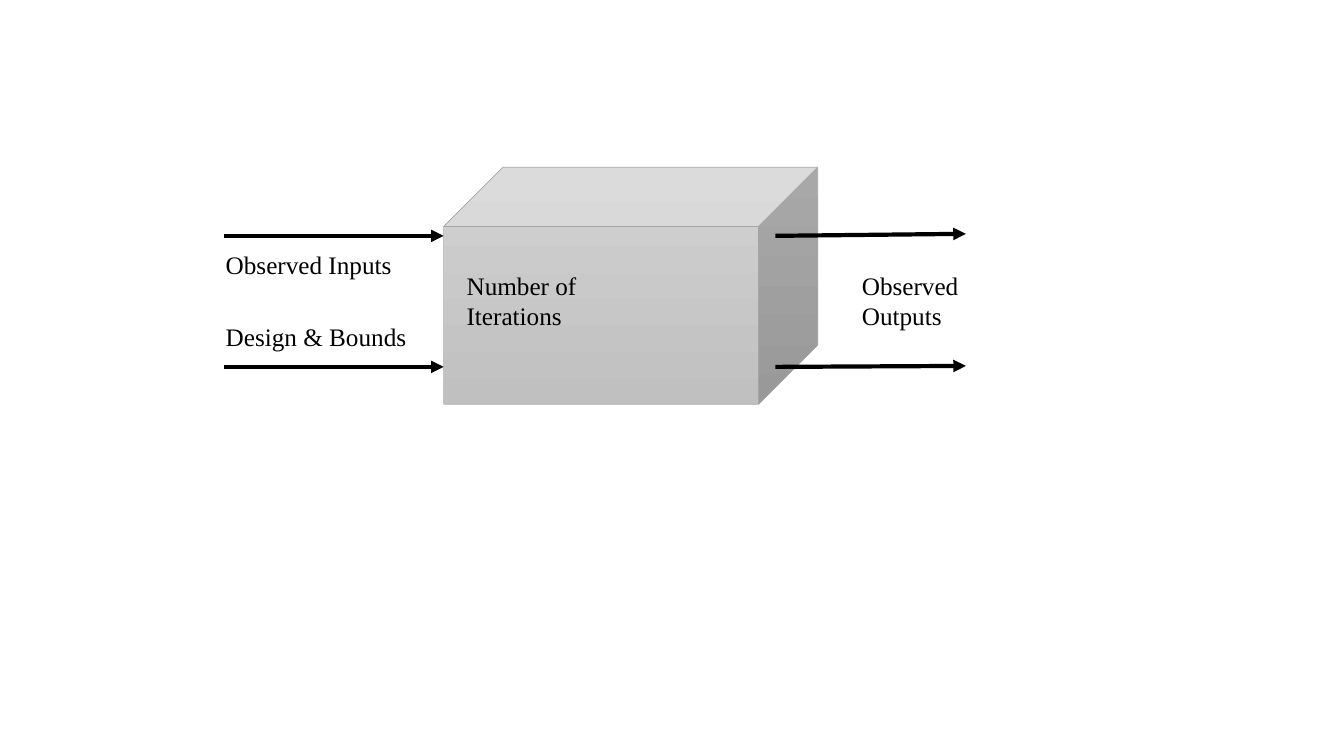
from lxml.etree import SubElement
from pptx import Presentation
from pptx.dml.color import RGBColor
from pptx.enum.shapes import MSO_CONNECTOR, MSO_SHAPE
from pptx.enum.text import MSO_AUTO_SIZE
from pptx.oxml.ns import qn
from pptx.util import Inches, Pt

COLORS = {
    "ink": "000000",
    "cube_top": "D2D2D2",
    "cube_bottom": "C0C0C0",
    "cube_edge": "A5A5A5",
}


class Diagram:
    """Draws on one slide; lengths are grid cells of a tenth of an inch."""

    cell = 0.1
    font_name = "Times New Roman"
    font_size = Pt(18)

    def __init__(self, slide):
        self.shapes = slide.shapes

    def grid(self, *cells):
        return [Inches(count * self.cell) for count in cells]

    def color(self, name):
        return RGBColor.from_string(COLORS[name])

    def label(self, text, left, top, width, height):
        box = self.shapes.add_textbox(*self.grid(left, top, width, height))
        frame = box.text_frame
        frame.word_wrap = True
        frame.auto_size = MSO_AUTO_SIZE.SHAPE_TO_FIT_TEXT
        run = frame.paragraphs[0].add_run()
        run.text = text
        run.font.name = self.font_name
        run.font.size = self.font_size
        run.font.color.rgb = self.color("ink")

    def cube(self, left, top, width, height):
        block = self.shapes.add_shape(
            MSO_SHAPE.CUBE, *self.grid(left, top, width, height))
        block.shadow.inherit = False
        block.fill.gradient()
        block.fill.gradient_angle = 270
        for stop, name, position in zip(
                block.fill.gradient_stops, ("cube_top", "cube_bottom"), (0, 1)):
            stop.color.rgb = self.color(name)
            stop.position = position
        block.line.color.rgb = self.color("cube_edge")
        block.line.width = Pt(0.5)

    def arrow(self, start_x, start_y, end_x, end_y):
        flow = self.shapes.add_connector(
            MSO_CONNECTOR.STRAIGHT, *self.grid(start_x, start_y, end_x, end_y))
        flow.line.color.rgb = self.color("ink")
        flow.line.width = Pt(3)
        SubElement(flow.line._get_or_add_ln(), qn("a:tailEnd"), type="triangle")
        SubElement(flow._element.spPr, qn("a:effectLst"))


def main():
    deck = Presentation()
    deck.slide_width, deck.slide_height = Inches(13.33), Inches(7.5)
    diagram = Diagram(deck.slides.add_slide(deck.slide_layouts[6]))

    # Process block
    cube_left = 44
    diagram.cube(cube_left, 16.6, 37.1, 23.5)

    # Flows into and out of the block; the outgoing ones rise slightly
    for flow_y, rise in ((23.4, 0.2), (36.4, 0.1)):
        diagram.arrow(22.2, flow_y, cube_left, flow_y)
        diagram.arrow(76.9, flow_y, 95.8, flow_y - rise)

    # Input labels
    input_left = 21.4
    diagram.label("Observed Inputs", input_left, 24.2, 18.8, 4)
    diagram.label("Design & Bounds", input_left, 31.4, 22.2, 4)

    # Process and output labels share one row
    middle_row, two_lines = 26.3, 7.1
    diagram.label("Number of Iterations", 45.3, middle_row, 14.3, two_lines)
    diagram.label("Observed Outputs", 84.5, middle_row, 13, two_lines)

    deck.save("out.pptx")


if __name__ == "__main__":
    main()
